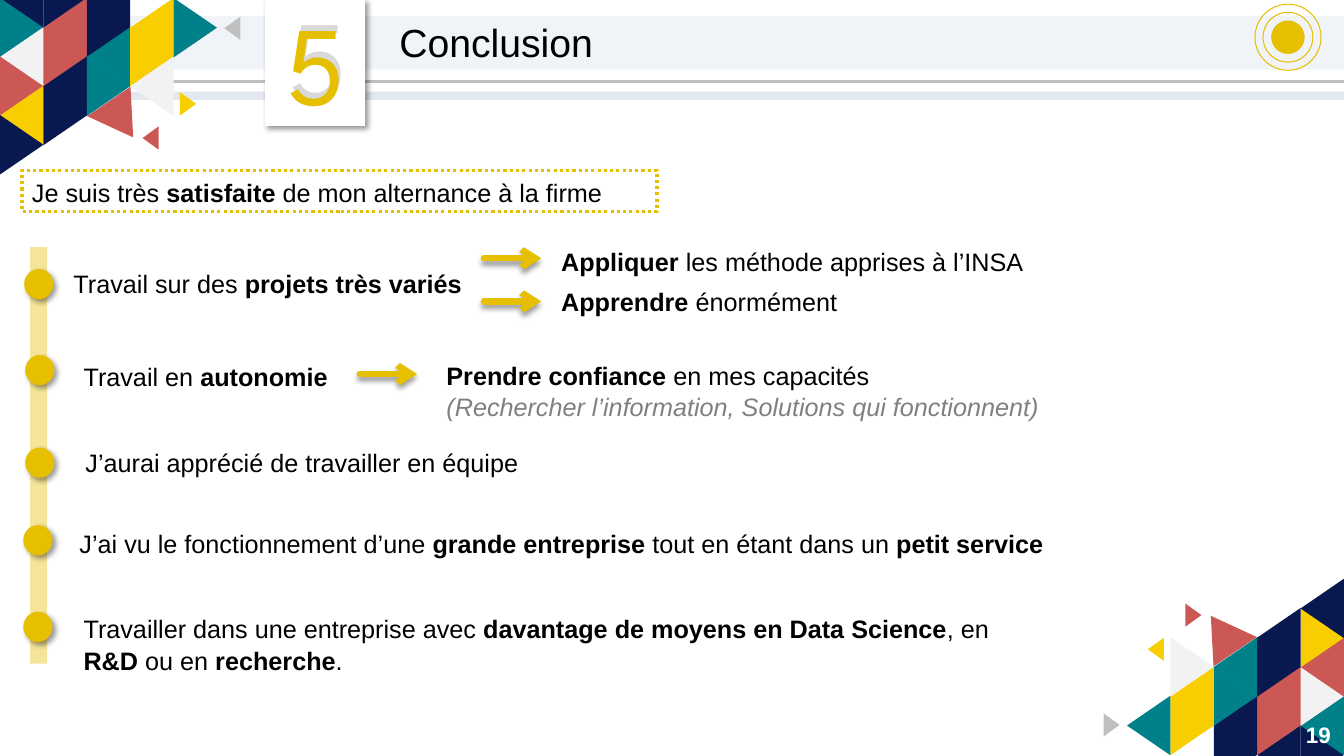
from lxml import etree
from pptx import Presentation
from pptx.dml.color import RGBColor
from pptx.enum.dml import MSO_LINE
from pptx.enum.shapes import MSO_CONNECTOR, MSO_SHAPE
from pptx.enum.text import MSO_ANCHOR, PP_ALIGN
from pptx.oxml.ns import qn
from pptx.util import Pt

RECTANGLE, OVAL = MSO_SHAPE.RECTANGLE, MSO_SHAPE.OVAL
TRIANGLE = MSO_SHAPE.ISOSCELES_TRIANGLE
STRAIGHT = MSO_CONNECTOR.STRAIGHT
DOTTED = MSO_LINE.ROUND_DOT
TOP = MSO_ANCHOR.TOP
LEFT, RIGHT = PP_ALIGN.LEFT, PP_ALIGN.RIGHT

COLORS = {
    "navy": "09194F", "teal": "00818A", "red": "CC5856", "yellow": "F9CE00",
    "pale": "F2F2F2", "silver": "BFBFBF", "gold": "E6C000", "mist": "DBE1ED",
    "shade": "D9D9D9", "gray": "808080", "white": "FFFFFF", "black": "000000",
}
WIDTH, HEIGHT = 960, 540

# Text between asterisks is bold: text, left, top, width, height, line spacing
STATEMENTS = [
    ("Travail sur des *projets très variés*", 45.4, 186.5, 301, 29.5, 1.07),
    ("Travail en *autonomie*", 52.6, 252.7, 209, 29.5, 1.07),
    ("J’aurai apprécié de travailler en équipe", 54, 316, 340, 29, 1),
    ("J’ai vu le fonctionnement d’une *grande entreprise *tout en étant dans un "
     "*petit service*", 49.7, 372.5, 799, 29.5, 1.07),
    ("Travailler dans une entreprise avec *davantage de moyens en Data Science*, "
     "en *R&D* ou en *recherche*.", 52.6, 432.7, 666, 52.6, 1.07),
]
OUTCOMES = [
    ("*Appliquer *les méthode apprises à l’INSA", 393.8, 172.4, 392, 29, 1),
    ("*Apprendre* énormément", 393.8, 201, 257, 29, 1),
    ("*Prendre confiance *en mes capacités", 311.8, 254, 461, 29, 1),
]
DETAIL = ("(Rechercher l’information, Solutions qui fonctionnent)",
          311.8, 275.6, 461, 29, 1)
MILESTONES = [(17.3, 192.2), (18, 253.6), (18, 319.7), (16.6, 375.1), (16.6, 437)]
ARROWS = [(345.6, 184.5), (345.6, 215.3), (257, 267.2)]
RINGS = [(23.6, 0), (17.8, 0), (11.6, 1)]  # radius, filled

# Mosaic: one list per column, from the top row down
TILES = [
    ["navy", "teal", "pale", "red", "yellow", "navy"],
    ["navy", "red", "red", "navy", "navy"],
    ["navy", "navy", "teal", "teal"],
    [None, "yellow", "yellow", "pale"],
    [None, "teal"],
]
TILE_WIDTH, TILE_DEPTH, ROW_STEP = 42.5, 31, 20.9
# Centre, size, rotation, colour
LOOSE_PIECES = [
    (86.4, 85.3, 37.4, 31, 145.9, "red"),
    (107.6, 98.6, 16.6, 11.5, 270, "red"),
    (166, 20.2, 16.6, 11.5, 270, "silver"),
    (134.3, 74.2, 16.6, 11.5, 90, "yellow"),
]


def color(name):
    return RGBColor.from_string(COLORS[name])


def set_effects(shape, shadow_angle=None):
    """Replace the theme shadow by none, or by a soft one at the given angle."""
    effects = etree.SubElement(shape._element.spPr, qn("a:effectLst"))
    if shadow_angle is not None:
        shadow = etree.SubElement(
            effects, qn("a:outerShdw"), blurRad=str(Pt(4)), dist=str(Pt(3)),
            dir=str(shadow_angle * 60000), algn="t", rotWithShape="0")
        tint = etree.SubElement(shadow, qn("a:srgbClr"), val=COLORS["black"])
        etree.SubElement(tint, qn("a:alpha"), val="40000")


def add_figure(shapes, kind, left, top, width, height, fill=None, line=None,
               opacity=None, shadow_angle=None):
    figure = shapes.add_shape(kind, Pt(left), Pt(top), Pt(width), Pt(height))
    if fill:
        figure.fill.solid()
        figure.fill.fore_color.rgb = color(fill)
    else:
        figure.fill.background()
    if opacity:
        tint = figure._element.spPr.find(".//" + qn("a:srgbClr"))
        etree.SubElement(tint, qn("a:alpha"), val=str(opacity * 1000))
    if line:
        figure.line.color.rgb = color(line)
        figure.line.width = Pt(0.75)
    else:
        figure.line.fill.background()
    set_effects(figure, shadow_angle)
    return figure


def add_line(shapes, left, y, length, tint, weight):
    line = shapes.add_connector(STRAIGHT, Pt(left), Pt(y), Pt(left + length), Pt(y))
    line.line.color.rgb = color(tint)
    line.line.width = Pt(weight)
    return line


def add_text(shapes, text, left, top, width, height, spacing=1, size=18,
             tint="black", font="Arial", italic=False, align=LEFT):
    box = shapes.add_textbox(Pt(left), Pt(top), Pt(width), Pt(height))
    box.text_frame.word_wrap = True
    para = box.text_frame.paragraphs[0]
    para.alignment = align
    para.line_spacing = spacing
    for position, part in enumerate(text.split("*")):
        if part:
            span = para.add_run()
            span.text = part
            span.font.name = font
            span.font.size = Pt(size)
            span.font.bold = position % 2 == 1
            span.font.italic = italic
            span.font.color.rgb = color(tint)
    return box


def mosaic_pieces():
    yield from LOOSE_PIECES
    for column, names in enumerate(TILES):
        for row, name in enumerate(names):
            if name:
                yield (15.5 + column * TILE_DEPTH, -1.1 + row * ROW_STEP, TILE_WIDTH,
                       TILE_DEPTH, 90 if (row + column) % 2 else 270, name)


def add_mosaic(shapes, turned):
    """Draw the corner mosaic, top left or turned round to the bottom right."""
    group = shapes.add_group_shape()
    for x, y, width, height, rotation, name in mosaic_pieces():
        if turned:
            x, y, rotation = WIDTH - x, 538 - y, (rotation + 180) % 360
        piece = add_figure(group.shapes, TRIANGLE, x - width / 2, y - height / 2,
                           width, height, name)
        piece.rotation = rotation


def add_header(slide):
    shapes = slide.shapes
    add_figure(shapes, RECTANGLE, 0, 11.5, WIDTH, 38.2, "mist", opacity=40)
    title = shapes.title
    shapes._spTree.append(title._element)
    title.left, title.top, title.width, title.height = Pt(278), Pt(9.4), Pt(187), Pt(41)
    title.text_frame.text = "Conclusion"
    title.text_frame.vertical_anchor = TOP
    para = title.text_frame.paragraphs[0]
    para.alignment = LEFT
    font = para.runs[0].font
    font.name, font.size, font.color.rgb = "Arial", Pt(28), color("black")

    add_figure(shapes, RECTANGLE, 0, 65.5, WIDTH, 5.8, "mist", opacity=80)
    set_effects(add_line(shapes, 0, 58.3, WIDTH, "silver", 2.25))
    add_figure(shapes, RECTANGLE, 189.4, 0, 71.3, 90, "white", "white", shadow_angle=45)
    for left, top, tint in [(198.7, -12.2, "shade"), (197.3, -7.9, "gold")]:
        add_text(shapes, "5", left, top, 71.3, 122.4, size=80, tint=tint,
                 font="League Spartan")


def add_content(shapes):
    for radius, filled in RINGS:
        add_figure(shapes, OVAL, 920 - radius, 26.6 - radius, 2 * radius, 2 * radius,
                   "gold" if filled else None, "gold")
    frame = add_text(shapes, "Je suis très *satisfaite* de mon alternance à la firme",
                     15.8, 121.7, 453.6, 29.5, 1.07)
    frame.line.color.rgb = color("gold")
    frame.line.width = Pt(2.25)
    frame.line.dash_style = DOTTED

    add_figure(shapes, RECTANGLE, 21.6, 176.6, 12.2, 297.4, "gold", opacity=40)
    for left, top in MILESTONES:
        add_figure(shapes, OVAL, left, top, 20.9, 21.6, "gold", shadow_angle=45)
    for statement in STATEMENTS + OUTCOMES:
        add_text(shapes, *statement)
    add_text(shapes, *DETAIL, tint="gray", italic=True)
    for left, y in ARROWS:
        arrow = add_line(shapes, left, y, 41, "gold", 4.5)
        outline = arrow.line._get_or_add_ln()
        outline.set("cap", "rnd")
        etree.SubElement(outline, qn("a:tailEnd"), type="arrow")
        set_effects(arrow, 90)


def main():
    deck = Presentation()
    deck.slide_width, deck.slide_height = Pt(WIDTH), Pt(HEIGHT)
    slide = deck.slides.add_slide(deck.slide_layouts[5])
    add_header(slide)
    for turned in (False, True):
        add_mosaic(slide.shapes, turned)
    add_content(slide.shapes)
    add_text(slide.shapes, "*19*", 916.6, 511.9, 41, 26.6, size=16, tint="white",
             align=RIGHT)
    deck.save("out.pptx")


if __name__ == "__main__":
    main()
